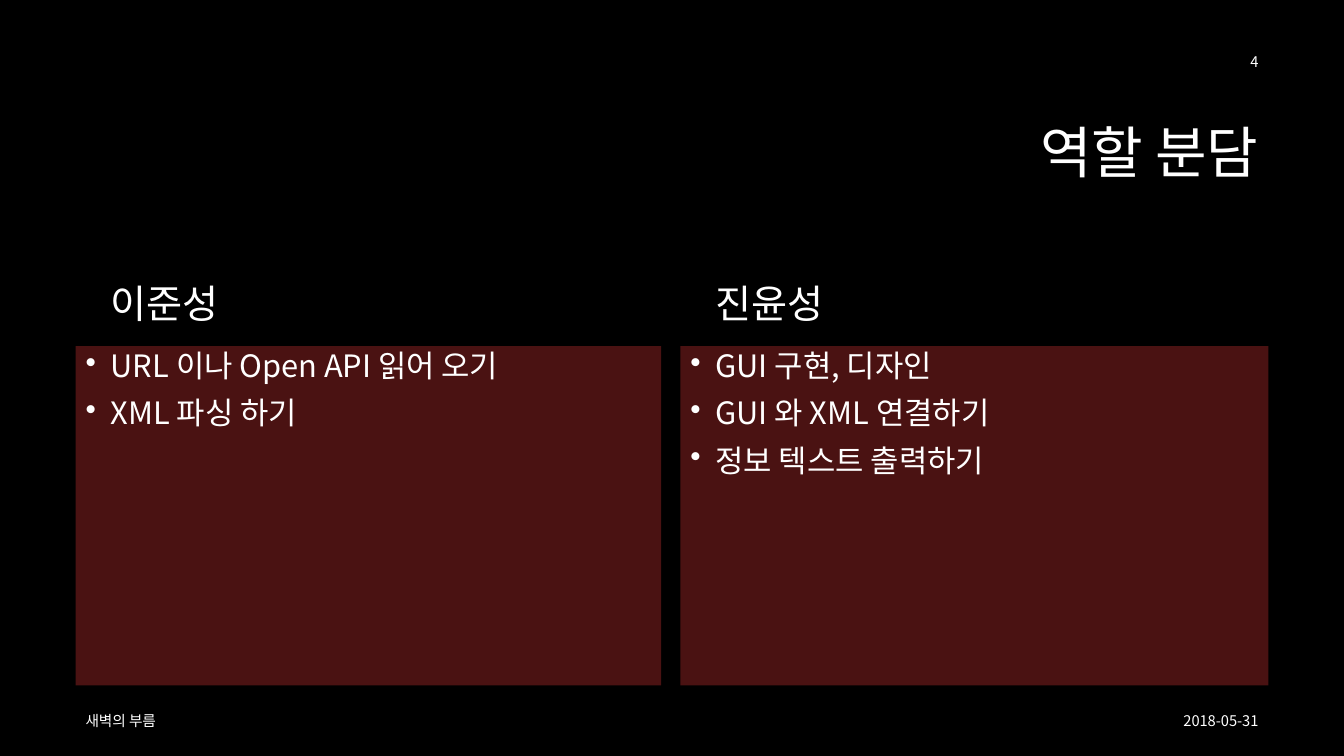
from lxml.etree import SubElement
from pptx import Presentation
from pptx.dml.color import RGBColor
from pptx.enum.shapes import MSO_SHAPE
from pptx.enum.text import MSO_ANCHOR, PP_ALIGN
from pptx.oxml.ns import qn
from pptx.util import Inches, Pt

FONT = "Noto Sans CJK KR"
COLS, ROWS = 160, 90
WIDTH, HEIGHT = Inches(13.33), Inches(7.5)
SMALL = 10.5
TEAM = [
    ((9, 28.7, 69.7, 52.9), "이준성",
     ["URL 이나 Open API 읽어 오기", "XML 파싱 하기"]),
    ((81, 28.7, 70, 52.9), "진윤성",
     ["GUI 구현, 디자인", "GUI 와 XML 연결하기", "정보 텍스트 출력하기"]),
]


def color(code):
    """Turn a hex string into a colour."""
    return RGBColor.from_string(code)


def place(box):
    """Turn grid columns and rows into slide lengths."""
    left, top, wide, high = box
    return (round(left * WIDTH / COLS), round(top * HEIGHT / ROWS),
            round(wide * WIDTH / COLS), round(high * HEIGHT / ROWS))


def bullet(para):
    """Give a paragraph a hanging bullet."""
    props = para._p.get_or_add_pPr()
    props.set("marL", str(Inches(0.25)))
    props.set("indent", str(-Inches(0.25)))
    SubElement(props, qn("a:buChar")).set("char", "•")


def write(shape, lines, size, anchor=MSO_ANCHOR.MIDDLE, align=PP_ALIGN.LEFT,
          gap=0, pitch=1.0, dots=False):
    """Fill a shape with white lines of text."""
    frame = shape.text_frame
    frame.word_wrap = True
    frame.vertical_anchor = anchor
    for index, line in enumerate(lines):
        para = frame.add_paragraph() if index else frame.paragraphs[0]
        para.alignment = align
        para.line_spacing = pitch
        para.space_before = Pt(gap)
        if dots:
            bullet(para)
        run = para.add_run()
        run.text = line
        run.font.size = Pt(size)
        run.font.name = FONT
        run.font.color.rgb = color("FFFFFF")
        SubElement(run._r.get_or_add_rPr(), qn("a:ea")).set("typeface", FONT)


def label(slide, box, text, size, **style):
    """Add a one-line text box."""
    write(slide.shapes.add_textbox(*place(box)), [text], size, **style)


def column(slide, box, name, tasks):
    """Add a member's name above a panel of tasks."""
    left, top, wide, high = box
    inset, drop = 3, 12.5
    label(slide, (left + inset, top, wide - inset, 10.8), name, 28,
          anchor=MSO_ANCHOR.BOTTOM, gap=10, pitch=0.9)
    panel = slide.shapes.add_shape(
        MSO_SHAPE.RECTANGLE, *place((left, top + drop, wide, high - drop)))
    panel.shadow.inherit = False
    panel.fill.solid()
    panel.fill.fore_color.rgb = color("4A1212")
    panel.line.fill.background()
    write(panel, tasks, 22, anchor=MSO_ANCHOR.TOP, gap=10, pitch=0.9, dots=True)


def header(slide, box):
    """Add the page number and the title, flush right."""
    left, top, wide, high = box
    label(slide, (left + wide - 36, top, 36, 4.8), "4", SMALL,
          align=PP_ALIGN.RIGHT)
    label(slide, (left, top + 5, wide, high - 5), "역할 분담", 40,
          align=PP_ALIGN.RIGHT, pitch=0.9)


def footer(slide, box):
    """Add the project name and the date at either end."""
    left, top, wide, high = box
    label(slide, (left + wide - 38.2, top, 38.2, high), "2018-05-31", SMALL,
          align=PP_ALIGN.RIGHT)
    label(slide, (left, top, 102, high), "새벽의 부름", SMALL)


def main():
    """Build and save the slide."""
    deck = Presentation()
    deck.slide_width, deck.slide_height = WIDTH, HEIGHT
    slide = deck.slides.add_slide(deck.slide_layouts[6])
    slide.background.fill.solid()
    slide.background.fill.fore_color.rgb = color("000000")
    header(slide, (38, 5, 113, 22))
    for box, name, tasks in TEAM:
        column(slide, box, name, tasks)
    footer(slide, (9, 83.4, 142, 4.8))
    deck.save("out.pptx")


if __name__ == "__main__":
    main()
